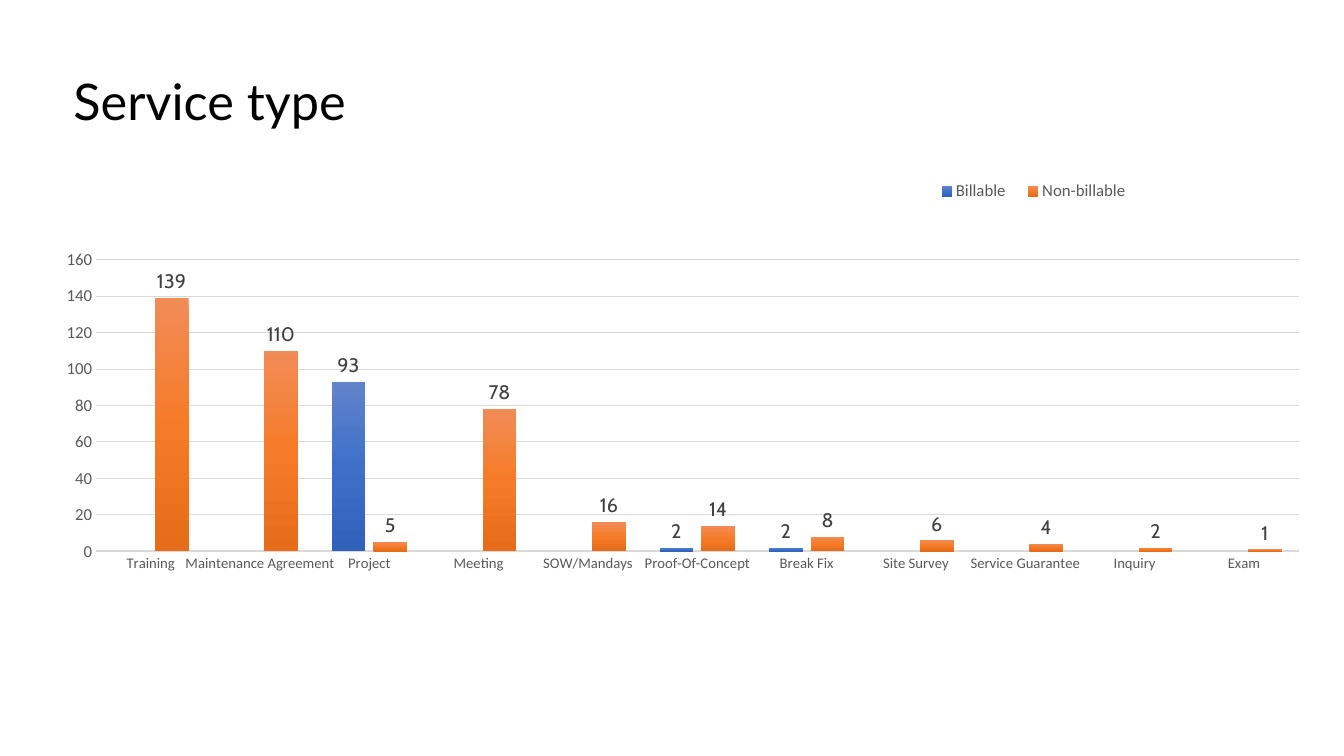
from copy import deepcopy

from lxml.etree import SubElement
from pptx import Presentation
from pptx.chart.data import CategoryChartData
from pptx.dml.color import RGBColor
from pptx.enum.chart import XL_CHART_TYPE as ChartType
from pptx.enum.chart import XL_LABEL_POSITION as LabelPosition
from pptx.enum.chart import XL_LEGEND_POSITION as LegendPosition
from pptx.enum.chart import XL_TICK_MARK as TickMark
from pptx.enum.text import MSO_AUTO_SIZE as AutoSize
from pptx.oxml import parse_xml
from pptx.oxml.ns import nsdecls, qn
from pptx.util import Pt

BLACK = RGBColor(0x00, 0x00, 0x00)
LABEL_GRAY = RGBColor(0x40, 0x40, 0x40)
AXIS_GRAY = RGBColor(0x59, 0x59, 0x59)
LINE_GRAY = RGBColor(0xD9, 0xD9, 0xD9)
BLUES = [RGBColor(0x61, 0x83, 0xCB), RGBColor(0x3E, 0x70, 0xCA), RGBColor(0x30, 0x62, 0xBB)]
ORANGES = [RGBColor(0xF1, 0x8C, 0x57), RGBColor(0xF6, 0x7B, 0x28), RGBColor(0xE5, 0x6C, 0x19)]

CATEGORIES = ["Training", "Maintenance Agreement", "Project", "Meeting", "SOW/Mandays",
              "Proof-Of-Concept", "Break Fix", "Site Survey", "Service Guarantee",
              "Inquiry", "Exam"]
BILLABLE = [None, None, 93, None, None, 2, 2, None, None, None, None]
NON_BILLABLE = [139, 110, 5, 78, 16, 14, 8, 6, 4, 2, 1]


def style_font(font, *, size, color, name="Calibri"):
    font.size = Pt(size)
    font.name = name
    font.color.rgb = color


def write_text(box, text, **style):
    span = box.text_frame.paragraphs[0].add_run()
    span.text = text
    style_font(span.font, **style)


def place_in_chart(parent, index, left, top, width, height, inner=False):
    """Give a chart part a manual layout, as fractions of the chart."""
    for old in parent.findall(qn("c:layout")):
        parent.remove(old)
    layout = parse_xml(f"<c:layout {nsdecls('c')}><c:manualLayout/></c:layout>")
    settings = {"xMode": "edge", "yMode": "edge", "x": left, "y": top, "w": width, "h": height}
    if inner:
        settings = {"layoutTarget": "inner", **settings}
    for tag, value in settings.items():
        SubElement(layout[0], qn(f"c:{tag}")).set("val", str(value))
    parent.insert(index, layout)


class ServicePage:
    heading_font = "Lato"
    value_font = "Cabin"

    def __init__(self, deck):
        self.page = deck.slides.add_slide(deck.slide_layouts[6])

    def heading(self, text, left, top, width, height):
        box = self.page.shapes.add_textbox(Pt(left), Pt(top), Pt(width), Pt(height))
        box.text_frame.word_wrap = False
        box.text_frame.auto_size = AutoSize.SHAPE_TO_FIT_TEXT
        write_text(box, text, size=36, color=BLACK, name=self.heading_font)

    def column_chart(self, categories, series, left, top, width, height):
        """Draw clustered columns; series maps a name to (values, gradient colours)."""
        data = CategoryChartData()
        data.categories = categories
        for name, (values, _) in series.items():
            data.add_series(name, values)
        chart = self.page.shapes.add_chart(
            ChartType.COLUMN_CLUSTERED, Pt(left), Pt(top), Pt(width), Pt(height), data).chart
        chart.has_title = False
        style_font(chart.font, size=10, color=BLACK)
        plot = chart.plots[0]
        plot.gap_width = 100
        plot.overlap = -24
        plot.vary_by_categories = False
        for columns, (_, colors) in zip(plot.series, series.values()):
            self.columns(columns, colors)
        self.axes(chart)
        self.legend(chart)
        plot_area = chart._chartSpace.chart.plotArea
        place_in_chart(plot_area, 0, 0.09, 0.286, 0.885, 0.429, inner=True)

    def columns(self, columns, colors):
        fill = columns.format.fill
        fill.gradient()
        fill.gradient_angle = 270
        stop_list = columns._element.find(".//" + qn("a:gsLst"))
        stop_list.insert(1, deepcopy(stop_list[0]))
        for stop, color, position in zip(fill.gradient_stops, colors, (0, 0.5, 1)):
            stop.color.rgb = color
            stop.position = position
        columns.invert_if_negative = False
        labels = columns.data_labels
        labels.show_value = True
        labels.position = LabelPosition.OUTSIDE_END
        style_font(labels.font, size=14, color=LABEL_GRAY, name=self.value_font)

    def axes(self, chart):
        for axis, size in ((chart.category_axis, 10.5), (chart.value_axis, 12)):
            axis.major_tick_mark = axis.minor_tick_mark = TickMark.NONE
            style_font(axis.tick_labels.font, size=size, color=AXIS_GRAY)
        base_line = chart.category_axis.format.line
        base_line.color.rgb = LINE_GRAY
        base_line.width = Pt(1)
        values = chart.value_axis
        values.minimum_scale, values.maximum_scale, values.major_unit = 0, 160, 20
        values.format.line.fill.background()
        values.has_major_gridlines = True
        grid = values.major_gridlines.format.line
        grid.color.rgb = LINE_GRAY
        grid.width = Pt(0.75)

    def legend(self, chart):
        chart.has_legend = True
        legend = chart.legend
        legend.position = LegendPosition.RIGHT
        legend.include_in_layout = False
        style_font(legend.font, size=12, color=AXIS_GRAY)
        place_in_chart(legend._element, 1, 0.7, 0.16, 0.16, 0.05)


def main():
    deck = Presentation()
    deck.slide_width, deck.slide_height = Pt(960), Pt(540)
    page = ServicePage(deck)
    page.column_chart(
        CATEGORIES,
        {"Billable": (BILLABLE, BLUES), "Non-billable": (NON_BILLABLE, ORANGES)},
        -18.7, 46.8, 970.6, 485.3)
    page.heading("Service type", 45.4, 46.8, 226, 51)
    deck.save("out.pptx")


if __name__ == "__main__":
    main()
